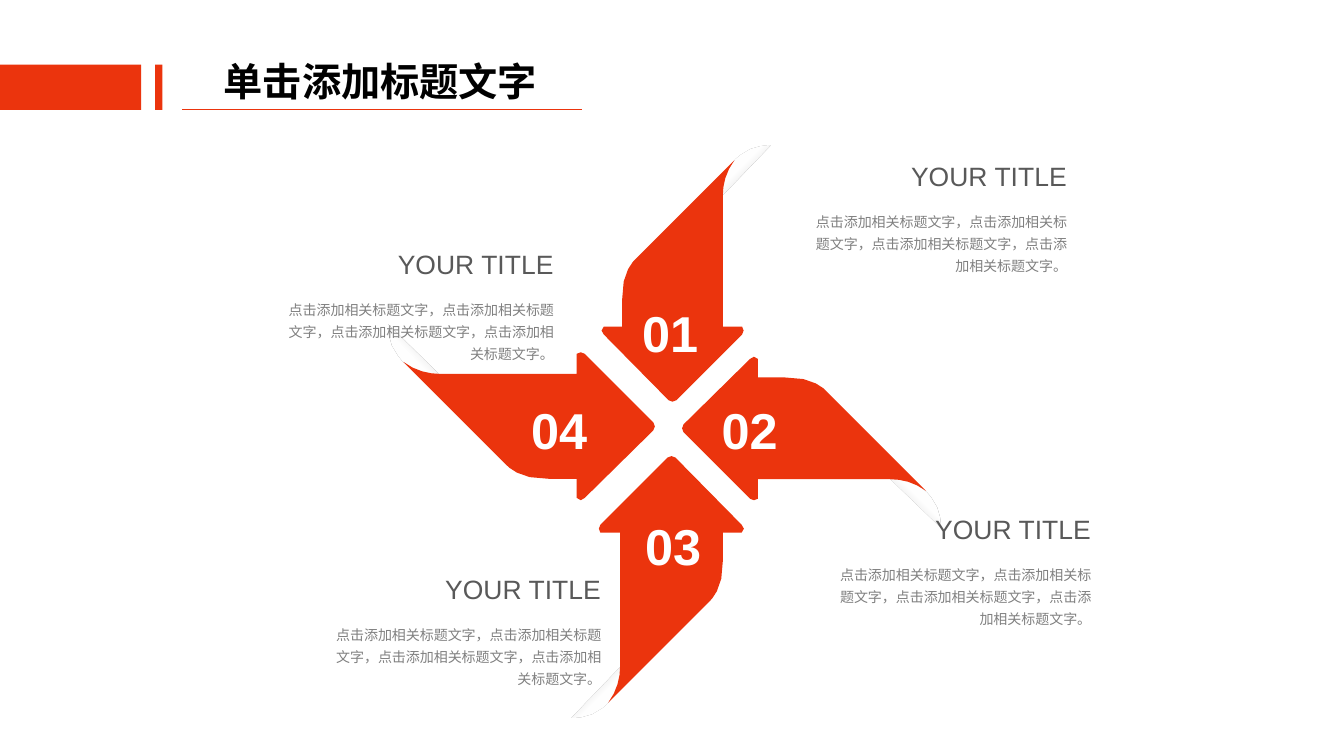
from pptx import Presentation
from pptx.dml.color import RGBColor
from pptx.enum.shapes import MSO_CONNECTOR, MSO_SHAPE
from pptx.enum.text import MSO_ANCHOR, MSO_AUTO_SIZE, PP_ALIGN
from pptx.oxml.ns import qn
from pptx.util import Pt
from lxml.etree import SubElement

EMU_PER_PX = 9144  # 100 px to the inch
RED = RGBColor(0xEB, 0x34, 0x0D)
WHITE = RGBColor(0xFF, 0xFF, 0xFF)
BLACK = RGBColor(0x00, 0x00, 0x00)
FOLD_GREY = RGBColor(0xB0, 0xB0, 0xB0)
HEADING_GREY = RGBColor(0x59, 0x59, 0x59)
BODY_GREY = RGBColor(0x80, 0x80, 0x80)
LATIN_FONT = "Arial"
CHINESE_FONT = "Noto Sans CJK SC"
BODY_TEXT = "点击添加相关标题文字，" * 3 + "点击添加相关标题文字。"

# Outlines of a blade pointing right: (distance behind the tip, offset across).
# A pair is a straight segment; three pairs are a Bézier curve.
ARROW = [
    (70, 71), (2, 4), ((0, 1), (0, -1), (2, -4)), (70, -72),
    ((72, -74), (76, -74), (78, -72)), (78, -52), (213, -52),
    ((225, -52), (238, -55), (250, -64)), (147, 39),
    ((147, 39), (135, 53), (106, 52)), (78, 52), (78, 71),
    ((76, 74), (72, 74), (70, 71)),
]
FOLD = [
    (213, -51), (265, -101), ((265, -101), (266, -83), (255, -70)),
    ((252, -66), (240, -51), (213, -51)),
]

# number, tip, clockwise quarter turns, scale, number box left and top
BLADES = [
    ("04", (650, 423), 0, 1.0, 517, 391),
    ("02", (676, 425), 2, 0.97, 706, 391),
    ("01", (667, 399), 1, 0.96, 627, 295),
    ("03", (666, 452), 3, 0.98, 630, 506),
]
# right edge, top, width of the body text
LABELS = [(1068, 154, 279), (1092, 504, 279), (606, 564, 292), (559, 241, 292)]


def px(length):
    return round(length * EMU_PER_PX)


def sample_outline(outline):
    """Turn straight segments and Bézier curves into a short list of points."""
    points = []
    for segment in outline:
        if not isinstance(segment[0], tuple):
            points.append(segment)
            continue
        curve = (points[-1], *segment)
        steps = 4 if abs(curve[3][0] - curve[0][0]) > 9 else 2
        for step in range(1, steps + 1):
            t = step / steps
            weights = ((1 - t) ** 3, 3 * t * (1 - t) ** 2, 3 * t * t * (1 - t), t ** 3)
            points.append(tuple(sum(w * p[axis] for w, p in zip(weights, curve))
                                for axis in (0, 1)))
    return points[:-1]  # the last curve ends where the outline starts


def place_point(point, tip, turns, scale):
    x, y = -point[0] * scale, point[1] * scale
    for _ in range(turns):
        x, y = -y, x
    return px(tip[0] + x), px(tip[1] + y)


def add_outline(slide, outline, tip, turns, scale):
    points = [place_point(point, tip, turns, scale) for point in sample_outline(outline)]
    builder = slide.shapes.build_freeform(*points[0])
    builder.add_line_segments(points[1:], close=True)
    shape = builder.convert_to_shape()
    shape.shadow.inherit = False
    shape.line.fill.background()
    return shape


def fill_fold(shape, turns):
    """Fade from grey at the straight edge to white, slightly transparent."""
    shape.fill.gradient()
    shape.fill.gradient_angle = (225 - 90 * turns) % 360
    stops = ((0, FOLD_GREY), (0.59, WHITE))
    for stop, (position, color) in zip(shape.fill.gradient_stops, stops):
        stop.position = position
        stop.color.rgb = color
    colors = shape.element.spPr.iter(qn("a:srgbClr"))
    for color, alpha in zip(list(colors), ("76000", "73000")):
        SubElement(color, qn("a:alpha")).set("val", alpha)


def write_text(shape, text, size, color, font=LATIN_FONT, bold=False,
               align=PP_ALIGN.LEFT, spacing=1.0, wrap=True):
    frame = shape.text_frame
    frame.word_wrap = wrap
    frame.auto_size = MSO_AUTO_SIZE.NONE
    frame.vertical_anchor = MSO_ANCHOR.TOP
    paragraph = frame.paragraphs[0]
    paragraph.alignment = align
    paragraph.line_spacing = spacing
    run = paragraph.add_run()
    run.text = text
    run.font.size = Pt(size)
    run.font.bold = bold
    run.font.name = font
    run.font.color.rgb = color
    SubElement(run.font._element, qn("a:ea")).set("typeface", CHINESE_FONT)


def add_text(slide, left, top, width, height, text, size, color, **style):
    box = slide.shapes.add_textbox(px(left), px(top), px(width), px(height))
    write_text(box, text, size, color, **style)


def add_label(slide, right, top, body_width):
    add_text(slide, right - 181, top, 181, 42, "YOUR TITLE", 18.9, HEADING_GREY,
             align=PP_ALIGN.RIGHT)
    add_text(slide, right - body_width, top + 48, body_width, 75, BODY_TEXT, 10,
             BODY_GREY, align=PP_ALIGN.RIGHT, spacing=1.3)


def add_bar(slide, left, width):
    bar = slide.shapes.add_shape(MSO_SHAPE.RECTANGLE, px(left), px(64), px(width), px(45))
    bar.shadow.inherit = False
    bar.fill.solid()
    bar.fill.fore_color.rgb = RED
    bar.line.fill.background()


def add_header(slide):
    add_bar(slide, 154, 7)
    add_bar(slide, 0, 140)
    title = slide.shapes.title
    title.left, title.top, title.width, title.height = px(212), px(52), px(334), px(57)
    write_text(title, "单击添加标题文字", 28, BLACK, font=CHINESE_FONT, bold=True, wrap=False)
    rule = slide.shapes.add_connector(MSO_CONNECTOR.STRAIGHT,
                                      px(181), px(109), px(577), px(109))
    rule.line.fill.solid()
    rule.line.fill.fore_color.rgb = RED
    rule.line.width = Pt(0.5)
    SubElement(rule.element.spPr, qn("a:effectLst"))
    rule.element.remove(rule.element.find(qn("p:style")))


def main():
    presentation = Presentation()
    presentation.slide_width, presentation.slide_height = px(1333), px(750)
    slide = presentation.slides.add_slide(presentation.slide_layouts[5])
    for _, tip, turns, scale, _, _ in BLADES:
        fill_fold(add_outline(slide, FOLD, tip, turns, scale), turns)
        arrow = add_outline(slide, ARROW, tip, turns, scale)
        arrow.fill.solid()
        arrow.fill.fore_color.rgb = RED
    for number, _, _, _, left, top in BLADES:
        add_text(slide, left, top, 76, 71, number, 36, WHITE, bold=True, wrap=False)
    for label in LABELS:
        add_label(slide, *label)
    add_header(slide)
    presentation.save("out.pptx")


if __name__ == "__main__":
    main()
